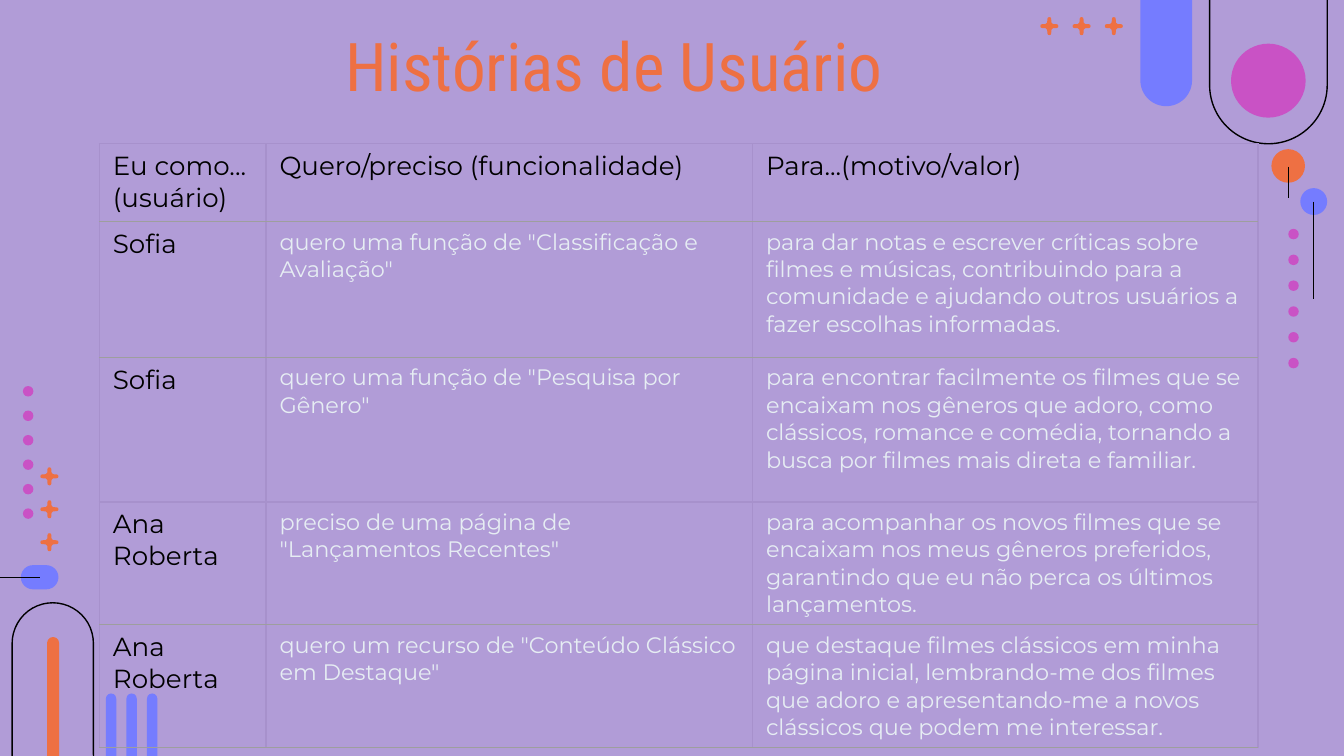
from dataclasses import dataclass

from lxml import etree
from pptx import Presentation
from pptx.dml.color import RGBColor
from pptx.enum.shapes import MSO_CONNECTOR, MSO_SHAPE
from pptx.oxml.ns import qn
from pptx.util import Inches, Pt

OVAL = MSO_SHAPE.OVAL
PILL = MSO_SHAPE.ROUNDED_RECTANGLE
STRAIGHT = MSO_CONNECTOR.STRAIGHT

# The slide is a grid of 100 columns by 56.25 square rows
CELL = Inches(10) // 100
COLUMNS, ROWS = 100, 56.25
LINE_WIDTH = Pt(0.75)
BODY_FONT, TITLE_FONT = "Montserrat", "Roboto Condensed"
COLORS = {
    "background": "B19CD7",
    "pink": "C952C5",
    "orange": "EE7043",
    "blue": "757CFF",
    "black": "000000",
    "pale": "E6EDF3",
    "border": "9E9E9E",
    "faint border": "A791CC",
}


@dataclass(frozen=True)
class Ornament:
    kind: int
    left: float
    top: float
    width: float
    height: float
    color: str
    filled: bool = True


@dataclass(frozen=True)
class Line:
    x1: float
    y1: float
    x2: float
    y2: float


@dataclass(frozen=True)
class Series:
    """Equal marks whose centres are evenly spaced."""
    x: float
    y: float
    dx: float
    dy: float
    count: int

    def centers(self) -> list[tuple[float, float]]:
        return [(self.x + i * self.dx, self.y + i * self.dy) for i in range(self.count)]


@dataclass(frozen=True)
class Story:
    user: str
    want: str
    reason: str


RIGHT_ORNAMENTS = [
    Ornament(PILL, 90, -11.9, 8.75, 22.6, "black", filled=False),
    Ornament(OVAL, 91.6, 3.25, 5.55, 5.5, "pink"),
    Ornament(OVAL, 94.6, 11.1, 2.5, 2.5, "orange"),
    Ornament(PILL, 84.85, -4, 3.85, 11.9, "blue"),
    Ornament(OVAL, 96.75, 14, 2, 2, "blue"),
]
LEFT_ORNAMENTS = [
    Ornament(PILL, 0.9, 44.85, 6.05, 15.65, "black", filled=False),
    Ornament(PILL, 3.5, 47.4, 0.9, 10.6, "orange"),
    *[Ornament(PILL, 7.88 + 1.53 * i, 51.6, 0.77, 8.9, "blue") for i in range(3)],
    Ornament(PILL, 1.55, 42.05, 2.8, 1.8, "blue"),
]
LINES = [Line(95.87, 12.4, 95.87, 14.75), Line(97.75, 15, 97.75, 22.25),
         Line(-3.2, 42.97, 2.95, 42.97)]
DOT_SERIES = [Series(96.25, 17.42, 0, 1.92, 6), Series(2.1, 29.12, 0, 1.82, 6)]
SPARK_SERIES = [Series(78.08, 1.95, 2.4, 0, 3), Series(3.68, 35.45, 0, 2.45, 3)]
DOT_SIZE = 0.78
# Upper right quarter of a spark, turned four times around its centre
SPARK_QUARTER = [(0, -0.67), (0.1, -0.64), (0.14, -0.55), (0.16, -0.27),
                 (0.27, -0.16), (0.55, -0.14), (0.64, -0.1)]

TABLE_LEFT, TABLE_TOP = 7.4, 10.7
TABLE_COLUMNS = [12.4, 36.2, 37.6]
TABLE_ROWS = [5.8, 10.1, 10.75, 9.15, 9.15]
FAINT_ROW_END = 2
STORIES = [
    Story("Eu como... (usuário)", "Quero/preciso (funcionalidade)", "Para...(motivo/valor)"),
    Story("Sofia", 'quero uma função de "Classificação e Avaliação"',
          "para dar notas e escrever críticas sobre filmes e músicas, contribuindo para a "
          "comunidade e ajudando outros usuários a fazer escolhas informadas."),
    Story("Sofia", 'quero uma função de "Pesquisa por Gênero"',
          "para encontrar facilmente os filmes que se encaixam nos gêneros que adoro, como "
          "clássicos, romance e comédia, tornando a busca por filmes mais direta e familiar."),
    Story("Ana Roberta", 'preciso de uma página de "Lançamentos Recentes"',
          "para acompanhar os novos filmes que se encaixam nos meus gêneros preferidos, "
          "garantindo que eu não perca os últimos lançamentos."),
    Story("Ana Roberta", 'quero um recurso de "Conteúdo Clássico em Destaque"',
          "que destaque filmes clássicos em minha página inicial, lembrando-me dos filmes "
          "que adoro e apresentando-me a novos clássicos que podem me interessar."),
]


def grid(cells: float) -> int:
    return round(cells * CELL)


def rgb(color: str) -> RGBColor:
    return RGBColor.from_string(COLORS[color])


def paint(shape, color: str) -> None:
    shape.shadow.inherit = False
    shape.fill.solid()
    shape.fill.fore_color.rgb = rgb(color)
    shape.line.fill.background()


def draw_ornament(slide, item: Ornament) -> None:
    shape = slide.shapes.add_shape(
        item.kind, grid(item.left), grid(item.top), grid(item.width), grid(item.height))
    paint(shape, item.color)
    if item.kind == PILL:
        shape.adjustments[0] = 0.5
    if not item.filled:
        shape.fill.background()
        shape.line.color.rgb = rgb(item.color)
        shape.line.width = LINE_WIDTH


def draw_line(slide, line: Line) -> None:
    connector = slide.shapes.add_connector(
        STRAIGHT, grid(line.x1), grid(line.y1), grid(line.x2), grid(line.y2))
    connector.line.color.rgb = rgb("black")
    connector.line.width = LINE_WIDTH
    etree.SubElement(connector._element.spPr, qn("a:effectLst"))


def draw_spark(slide, x: float, y: float) -> None:
    outline, quarter = [], SPARK_QUARTER
    for _ in range(4):
        outline += [(grid(x + px), grid(y + py)) for px, py in quarter]
        quarter = [(-py, px) for px, py in quarter]
    builder = slide.shapes.build_freeform(*outline[0])
    builder.add_line_segments(outline[1:], close=True)
    paint(builder.convert_to_shape(), "orange")


def add_run(paragraph, text: str, font: str, size: float, color: str) -> None:
    run = paragraph.add_run()
    run.text = text
    run.font.name = font
    run.font.size = Pt(size)
    run.font.color.rgb = rgb(color)


def set_borders(cell, edges: dict[str, str]) -> None:
    properties = cell._tc.get_or_add_tcPr()
    for index, (edge, color) in enumerate(edges.items()):
        line = etree.Element(qn(f"a:{edge}"), w=str(LINE_WIDTH))
        fill = etree.SubElement(line, qn("a:solidFill"))
        etree.SubElement(fill, qn("a:srgbClr"), val=COLORS[color])
        properties.insert(index, line)


def draw_stories(slide) -> None:
    table = slide.shapes.add_table(
        len(TABLE_ROWS), len(TABLE_COLUMNS), grid(TABLE_LEFT), grid(TABLE_TOP),
        grid(sum(TABLE_COLUMNS)), grid(sum(TABLE_ROWS))).table
    table.first_row = table.horz_banding = False
    for column, width in zip(table.columns, TABLE_COLUMNS):
        column.width = grid(width)
    row_ends = ["faint border" if i == FAINT_ROW_END else "border" for i in range(len(STORIES))]
    row_starts = ["faint border", *row_ends]
    for r, story in enumerate(STORIES):
        table.rows[r].height = grid(TABLE_ROWS[r])
        for c, text in enumerate((story.user, story.want, story.reason)):
            cell = table.cell(r, c)
            cell.fill.background()
            is_heading = r == 0 or c == 0
            size, color = (14, "black") if is_heading else (12, "pale")
            add_run(cell.text_frame.paragraphs[0], text, BODY_FONT, size, color)
            set_borders(cell, {"lnL": "faint border", "lnR": "faint border",
                               "lnT": row_starts[r], "lnB": row_ends[r]})


def draw_title(slide) -> None:
    title = slide.shapes.add_textbox(grid(24.7), grid(1.3), grid(46.5), grid(7.1))
    title.text_frame.word_wrap = True
    add_run(title.text_frame.paragraphs[0], "Histórias de Usuário", TITLE_FONT, 36, "orange")


def main() -> None:
    deck = Presentation()
    deck.slide_width, deck.slide_height = grid(COLUMNS), grid(ROWS)
    slide = deck.slides.add_slide(deck.slide_layouts[6])
    slide.background.fill.solid()
    slide.background.fill.fore_color.rgb = rgb("background")

    # Decoration in the corners
    for ornament in RIGHT_ORNAMENTS + LEFT_ORNAMENTS:
        draw_ornament(slide, ornament)
    for line in LINES:
        draw_line(slide, line)
    for dots in DOT_SERIES:
        for x, y in dots.centers():
            draw_ornament(slide, Ornament(
                OVAL, x - DOT_SIZE / 2, y - DOT_SIZE / 2, DOT_SIZE, DOT_SIZE, "pink"))
    for sparks in SPARK_SERIES:
        for x, y in sparks.centers():
            draw_spark(slide, x, y)

    # User stories and heading
    draw_stories(slide)
    draw_title(slide)
    deck.save("out.pptx")


if __name__ == "__main__":
    main()
